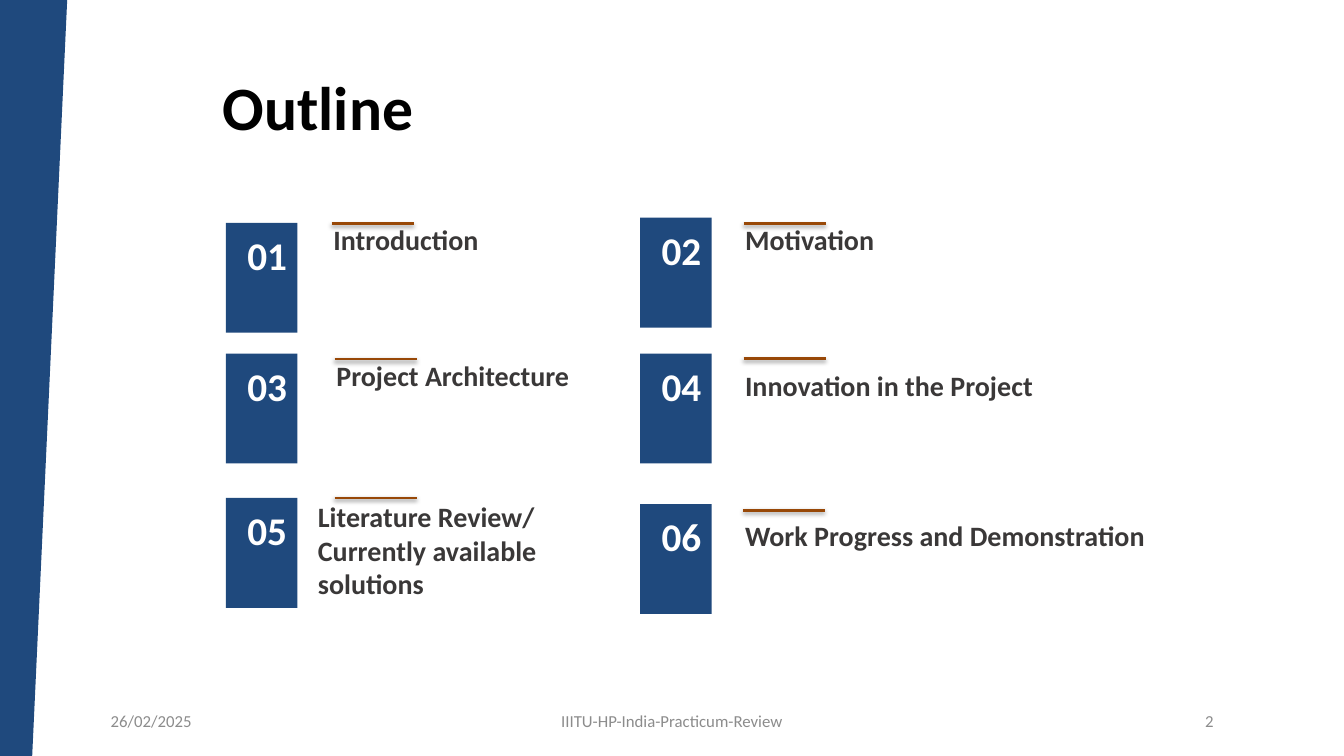
import pptx
import pptx.util
import pptx.dml.color
import pptx.enum.shapes
import pptx.enum.text
import pptx.oxml
import pptx.oxml.ns

Pt = pptx.util.Pt
ALIGN = pptx.enum.text.PP_ALIGN
ANCHOR = pptx.enum.text.MSO_ANCHOR
COLORS = {
    "navy": "1F497D",
    "rust": "984807",
    "title": "000000",
    "label": "3A3838",
    "number": "FFFFFF",
    "footer": "8C8C8C",
}
TILE_WIDTH, TILE_HEIGHT, RULE_LENGTH = 51.1, 78.5, 58.6
TILE_LEFTS = (161.3, 457.2)
GRID_COLUMNS = (292.3, 292.3)
GRID_ROWS = (108, 152.6)

TOPICS = [
    ("Introduction", 159.1, (237.2, 159.1, 200), (236.9, 159.8)),
    ("Motivation", 155.5, (531.2, 159.1, 205), (531.2, 159.8)),
    ("Project Architecture", 252.5, (239.3, 256.3, 200), (239, 256.5)),
    ("Innovation in the Project", 252.5, (531.2, 263.5, 305), (531.2, 256.3)),
    ("Literature Review/\nCurrently available\nsolutions", 355.7, (226.1, 356.9, 220), (239, 355.7)),
    ("Work Progress and Demonstration", 360, (531.2, 370.5, 305), (530.6, 364.6)),
]
FOOTERS = [
    ("26/02/2025", 72, 210, ALIGN.LEFT),
    ("IIITU-HP-India-Practicum-Review", 318, 324, ALIGN.CENTER),
    ("2", 678, 196, ALIGN.RIGHT),
]


def color(name):
    return pptx.dml.color.RGBColor.from_string(COLORS[name])


def write(frame, text, size, ink, bold=True, align=ALIGN.LEFT):
    frame.word_wrap = True
    frame.text = text
    for para in frame.paragraphs:
        para.alignment = align
        for span in para.runs:
            span.font.name = "Calibri"
            span.font.size = Pt(size)
            span.font.bold = bold
            span.font.color.rgb = color(ink)


def set_insets(frame, left, top, right, bottom):
    frame.margin_left, frame.margin_top = Pt(left), Pt(top)
    frame.margin_right, frame.margin_bottom = Pt(right), Pt(bottom)


def indent(para, points):
    para._p.get_or_add_pPr().set("marL", str(Pt(points)))


def add_side_band(page):
    builder = page.shapes.build_freeform(Pt(48), Pt(0))
    builder.add_line_segments([(Pt(0), Pt(0)), (Pt(0), Pt(540)), (Pt(23), Pt(540))])
    band = builder.convert_to_shape()
    band.shadow.inherit = False
    band.fill.solid()
    band.fill.fore_color.rgb = color("navy")
    band.line.fill.background()


def add_title(page, text):
    title = page.shapes.title
    title.left, title.top = Pt(152), Pt(50.4)
    title.width, title.height = Pt(722), Pt(57)
    write(title.text_frame, text, 44, "title")
    title.text_frame.vertical_anchor = ANCHOR.MIDDLE
    title.text_frame.paragraphs[0].line_spacing = 0.9


def add_grid(page):
    grid = page.shapes.add_table(
        len(GRID_ROWS), len(GRID_COLUMNS), Pt(150.5), Pt(136.8),
        Pt(sum(GRID_COLUMNS)), Pt(sum(GRID_ROWS))).table
    grid.first_row = False
    grid.horz_banding = False
    for column, width in zip(grid.columns, GRID_COLUMNS):
        column.width = Pt(width)
    for row, height in zip(grid.rows, GRID_ROWS):
        row.height = Pt(height)
    for cell in grid.iter_cells():
        cell.fill.background()


def add_number(page, number, left, top):
    tile = page.shapes.add_shape(
        pptx.enum.shapes.MSO_SHAPE.RECTANGLE, Pt(left), Pt(top), Pt(TILE_WIDTH), Pt(TILE_HEIGHT))
    tile.shadow.inherit = False
    tile.fill.solid()
    tile.fill.fore_color.rgb = color("navy")
    tile.line.fill.background()
    frame = tile.text_frame
    write(frame, f"{number:02d}", 28, "number")
    set_insets(frame, 6, 6, 6, 6)
    frame.vertical_anchor = ANCHOR.TOP
    para = frame.paragraphs[0]
    para.space_before = Pt(11.8)
    indent(para, 9.4)


def add_label(page, text, left, top, width):
    lines = text.count("\n") + 1
    box = page.shapes.add_textbox(Pt(left), Pt(top), Pt(width), Pt(24 * lines))
    write(box.text_frame, text, 20, "label")
    set_insets(box.text_frame, 0, 1.2, 0, 0)
    for para in box.text_frame.paragraphs:
        para.line_spacing = Pt(22.8)
        para.space_before = Pt(1.2)
        indent(para, 1)


def add_rule(page, left, top):
    rule = page.shapes.add_connector(
        pptx.enum.shapes.MSO_CONNECTOR.STRAIGHT, Pt(left), Pt(top), Pt(left + RULE_LENGTH), Pt(top))
    rule.line.color.rgb = color("rust")
    rule.line.width = Pt(2)
    rule._element.spPr.append(pptx.oxml.parse_xml(
        f'<a:effectLst {pptx.oxml.ns.nsdecls("a")}>'
        f'<a:outerShdw blurRad="{Pt(3.1)}" dist="{Pt(1.6)}" dir="5400000" rotWithShape="0">'
        '<a:srgbClr val="000000"><a:alpha val="38000"/></a:srgbClr>'
        '</a:outerShdw></a:effectLst>'))


def add_footer(page, text, left, width, align):
    box = page.shapes.add_textbox(Pt(left), Pt(500.4), Pt(width), Pt(28.8))
    write(box.text_frame, text, 12, "footer", bold=False, align=align)
    box.text_frame.vertical_anchor = ANCHOR.MIDDLE


def main():
    deck = pptx.Presentation()
    deck.slide_width, deck.slide_height = Pt(960), Pt(540)
    page = deck.slides.add_slide(deck.slide_layouts[5])
    add_side_band(page)
    add_title(page, "Outline")
    add_grid(page)
    for index, (text, tile_top, label_place, rule_place) in enumerate(TOPICS):
        add_number(page, index + 1, TILE_LEFTS[index % 2], tile_top)
        add_label(page, text, *label_place)
        add_rule(page, *rule_place)
    for footer in FOOTERS:
        add_footer(page, *footer)
    deck.save("out.pptx")


if __name__ == "__main__":
    main()
